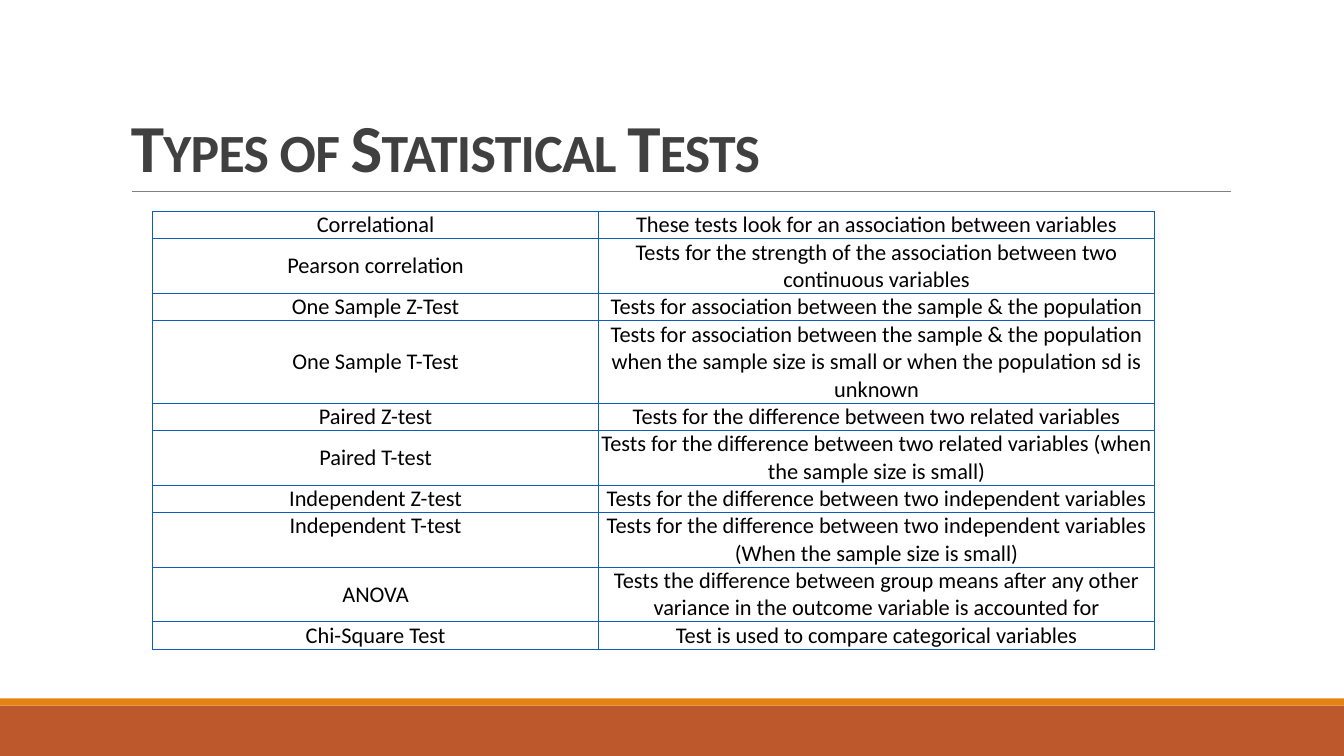
import pptx
import pptx.dml.color
import pptx.enum.shapes
import pptx.enum.text
import pptx.oxml
import pptx.oxml.ns
import pptx.util
from pptx.util import Cm

ANCHOR = pptx.enum.text.MSO_ANCHOR
LINE_HEIGHT = 0.69
SLIDE_WIDTH = 33.87
TESTS = [
    ("Correlational", "These tests look for an association between variables", 1),
    ("Pearson correlation",
     "Tests for the strength of the association between two continuous variables", 2),
    ("One Sample Z-Test", "Tests for association between the sample & the population", 1),
    ("One Sample T-Test",
     "Tests for association between the sample & the population when the sample size "
     "is small or when the population sd is unknown", 3),
    ("Paired Z-test", "Tests for the difference between two related variables", 1),
    ("Paired T-test",
     "Tests for the difference between two related variables (when the sample size is small)", 2),
    ("Independent Z-test", "Tests for the difference between two independent variables", 1),
    ("Independent T-test",
     "Tests for the difference between two independent variables "
     "(When the sample size is small)", 2),
    ("ANOVA",
     "Tests the difference between group means after any other variance "
     "in the outcome variable is accounted for", 2),
    ("Chi-Square Test", "Test is used to compare categorical variables", 1),
]


def rgb(value):
    return pptx.dml.color.RGBColor.from_string(value)


def set_font(p, size, color, bold=False):
    p.font.name = "Calibri"
    p.font.size = pptx.util.Pt(size)
    p.font.bold = bold
    p.font.color.rgb = rgb(color)


def add_bar(s, top, height, color):
    sp = s.shapes.add_shape(pptx.enum.shapes.MSO_SHAPE.RECTANGLE,
                            0, Cm(top), Cm(SLIDE_WIDTH), Cm(height))
    sp.shadow.inherit = False
    sp.fill.solid()
    sp.fill.fore_color.rgb = rgb(color)
    sp.line.fill.background()


def add_rule(s, left, right, y, color):
    line = s.shapes.add_connector(pptx.enum.shapes.MSO_CONNECTOR.STRAIGHT,
                                  Cm(left), Cm(y), Cm(right), Cm(y))
    line.line.color.rgb = rgb(color)
    line.line.width = pptx.util.Pt(0.5)
    pptx.oxml.ns.qn("a:effectLst")
    line._element.spPr.append(pptx.oxml.parse_xml(
        f'<a:effectLst {pptx.oxml.ns.nsdecls("a")}/>'))


def add_title(s, text):
    tf = s.shapes.add_textbox(Cm(3.05), Cm(0.79), Cm(27.94), Cm(4.04)).text_frame
    tf.word_wrap = True
    tf.vertical_anchor = ANCHOR.BOTTOM
    p = tf.paragraphs[0]
    p.line_spacing = 0.85
    set_font(p, 48, "404040", True)
    r = p.add_run()
    r.text = text
    rPr = r._r.get_or_add_rPr()
    rPr.set("cap", "small")
    rPr.set("spc", "-50")


def set_borders(cell, color):
    tcPr = cell._tc.get_or_add_tcPr()
    for i, side in enumerate(("lnL", "lnR", "lnT", "lnB")):
        tcPr.insert(i, pptx.oxml.parse_xml(
            f'<a:{side} {pptx.oxml.ns.nsdecls("a")} w="9525"><a:solidFill>'
            f'<a:srgbClr val="{color}"/></a:solidFill></a:{side}>'))


def fill_cell(cell, text, anchor):
    cell.fill.background()
    cell.margin_left = cell.margin_right = cell.margin_top = cell.margin_bottom = 0
    cell.vertical_anchor = anchor
    cell.text = text
    p = cell.text_frame.paragraphs[0]
    p.alignment = pptx.enum.text.PP_ALIGN.CENTER
    set_font(p, 16, "000000")
    set_borders(cell, "0E5EB8")


def add_tests_table(s, tests):
    widths = (11.25, 14)
    height = LINE_HEIGHT * sum(lines for _, _, lines in tests)
    table = s.shapes.add_table(len(tests), len(widths), Cm(3.84), Cm(5.33),
                               Cm(sum(widths)), Cm(height)).table
    table.first_row = table.horz_banding = False
    for column, width in zip(table.columns, widths):
        column.width = Cm(width)
    for i, (name, purpose, lines) in enumerate(tests):
        table.rows[i].height = Cm(LINE_HEIGHT * lines)
        name_anchor = ANCHOR.TOP if name == "Independent T-test" else ANCHOR.MIDDLE
        fill_cell(table.cell(i, 0), name, name_anchor)
        fill_cell(table.cell(i, 1), purpose, ANCHOR.MIDDLE)


def main():
    prs = pptx.Presentation()
    prs.slide_width, prs.slide_height = Cm(SLIDE_WIDTH), Cm(19.05)
    s = prs.slides.add_slide(prs.slide_layouts[6])
    add_bar(s, 17.78, 1.27, "BD582C")
    add_bar(s, 17.6, 0.18, "E48312")
    add_rule(s, 3.33, 31.01, 4.83, "808080")
    add_title(s, "Types of Statistical Tests")
    add_tests_table(s, TESTS)
    prs.save("out.pptx")


if __name__ == "__main__":
    main()
